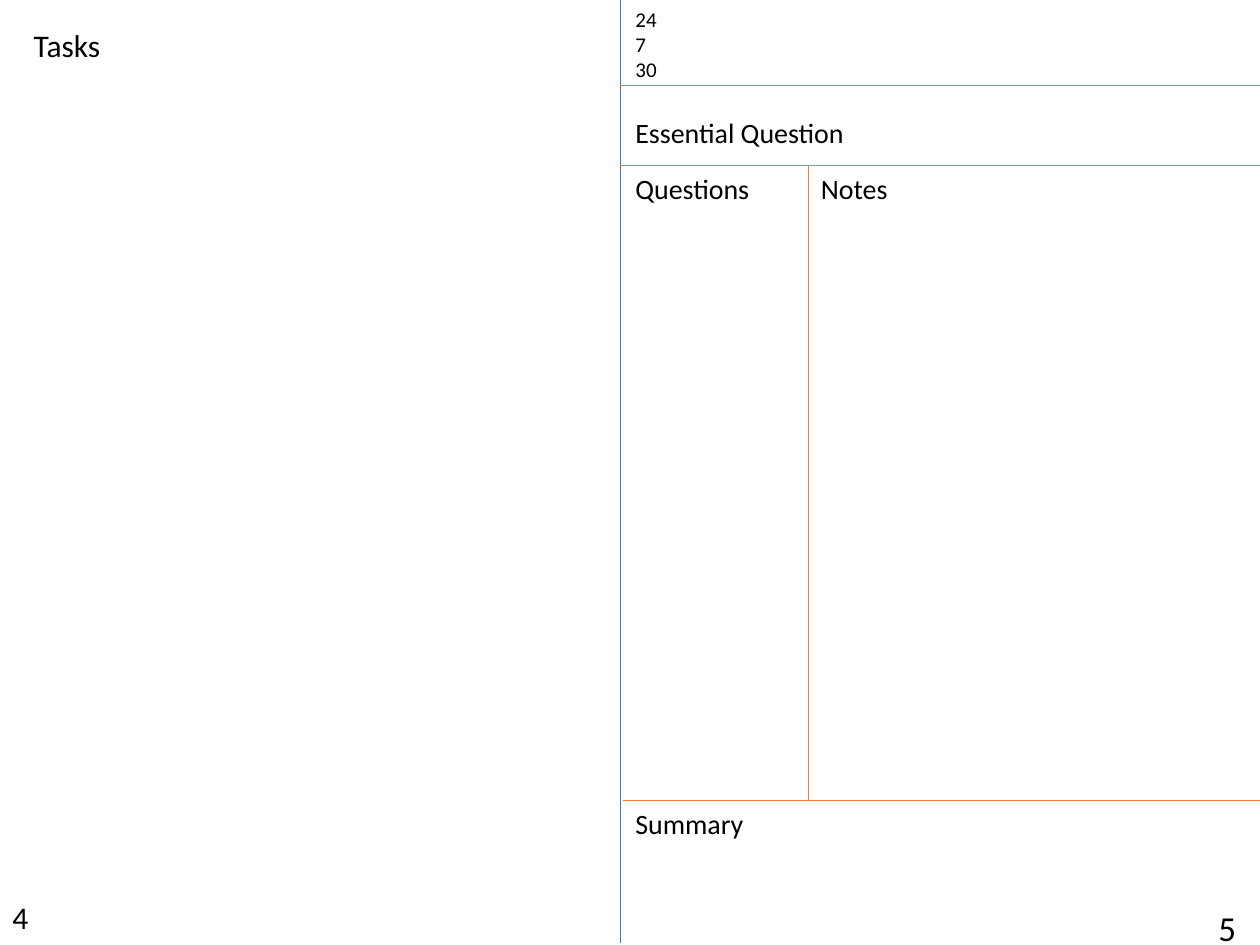
from pptx import Presentation
from pptx.dml.color import RGBColor
from pptx.enum.shapes import MSO_CONNECTOR
from pptx.enum.text import MSO_AUTO_SIZE
from pptx.oxml.ns import qn
from pptx.util import Cm, Pt
from lxml import etree

STRAIGHT = MSO_CONNECTOR.STRAIGHT
GROW = MSO_AUTO_SIZE.SHAPE_TO_FIT_TEXT

BLUE, ORANGE, BLACK = "4472C4", "ED7D31", "000000"


def color(code):
    return RGBColor.from_string(code)


class Page:
    font = "Calibri"
    weight = 0.5

    def __init__(self, slide):
        self.slide = slide

    def line(self, x1, y1, x2, y2, tint=ORANGE):
        rule = self.slide.shapes.add_connector(
            STRAIGHT, Cm(x1), Cm(y1), Cm(x2), Cm(y2))
        rule.line.color.rgb = color(tint)
        rule.line.width = Pt(self.weight)
        etree.SubElement(rule._element.spPr, qn("a:effectLst"))

    def text(self, x, y, w, h, words, size=16, wrap=False):
        box = self.slide.shapes.add_textbox(Cm(x), Cm(y), Cm(w), Cm(h))
        frame = box.text_frame
        frame.word_wrap = wrap
        frame.auto_size = GROW
        for i, word in enumerate(words):
            para = frame.add_paragraph() if i else frame.paragraphs[0]
            run = para.add_run()
            run.text = word
            run.font.name = self.font
            run.font.size = Pt(size)
            run.font.color.rgb = color(BLACK)


def main():
    deck = Presentation()
    deck.slide_width, deck.slide_height = Cm(25.4), Cm(19.05)
    page = Page(deck.slides.add_slide(deck.slide_layouts[6]))

    # Grid of the notes page
    fold, split, right = 12.5, 16.3, 25.4
    head, top, foot = 1.73, 3.33, 16.13
    inset = 12.56

    # Fold and page numbers
    page.line(fold, 0, fold, 19, BLUE)
    page.text(0, 17.98, 0.84, 1.02, ["4"], 18)
    page.text(24.31, 18.14, 1.52, 1.12, ["5"], 20, wrap=True)

    # Rules
    for y in (head, top):
        page.line(fold, y, right, y)
    page.line(inset, foot, 25.68, foot)
    page.line(split, top, split, foot)

    # Date
    page.text(inset, 0, 1.4, 1.8, ["24", "7", "30"], 12, wrap=True)

    # Section labels
    for x, y, w, label in (
        (inset, 2.21, 4.78, "Essential Question"),
        (split, top, 1.88, "Notes"),
        (inset, top, 2.84, "Questions"),
        (inset, foot, 2.72, "Summary"),
    ):
        page.text(x, y, w, 0.94, [label])

    # Left page
    page.text(0.43, 0.41, 1.85, 1.02, ["Tasks"], 18)

    deck.save("out.pptx")


if __name__ == "__main__":
    main()
